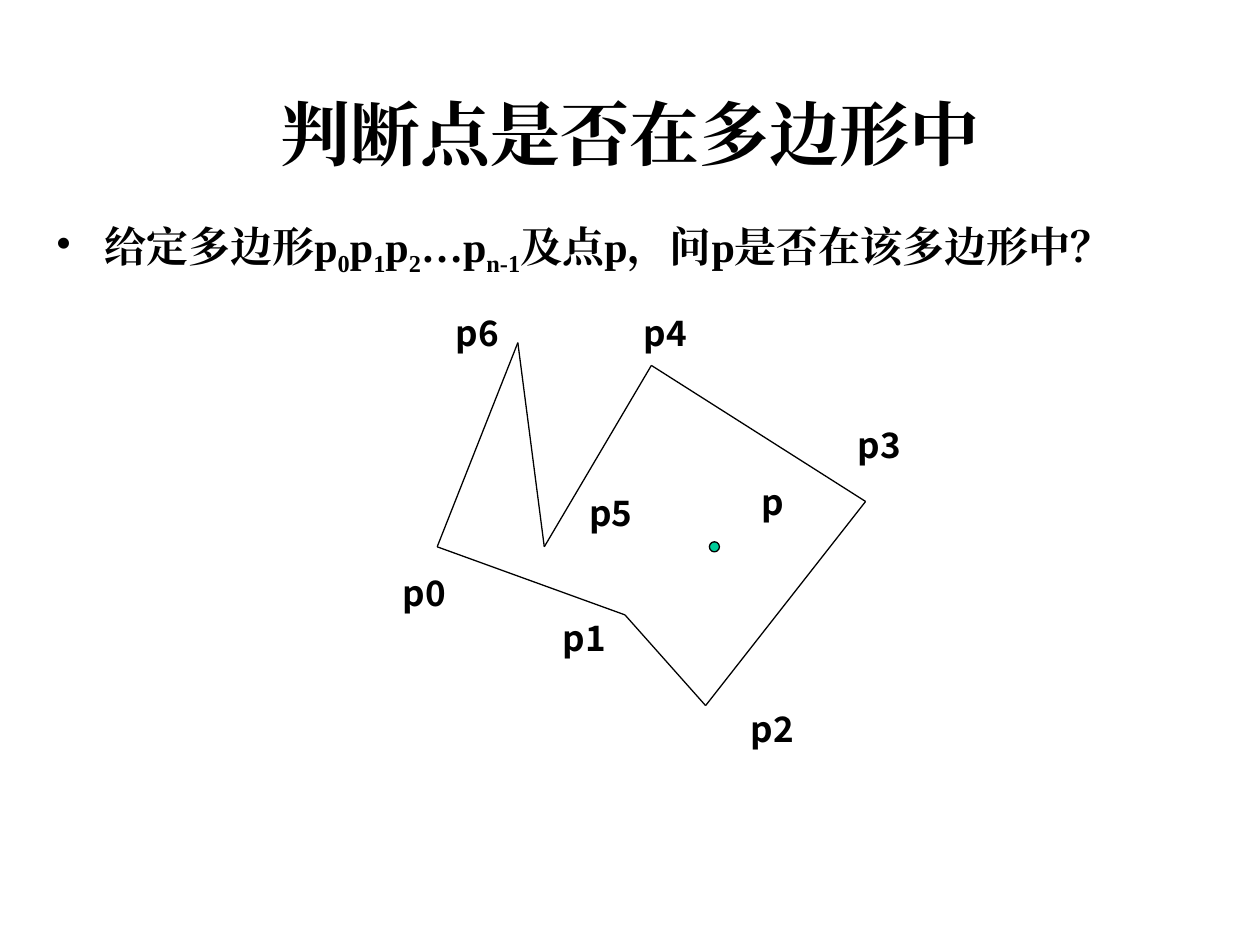
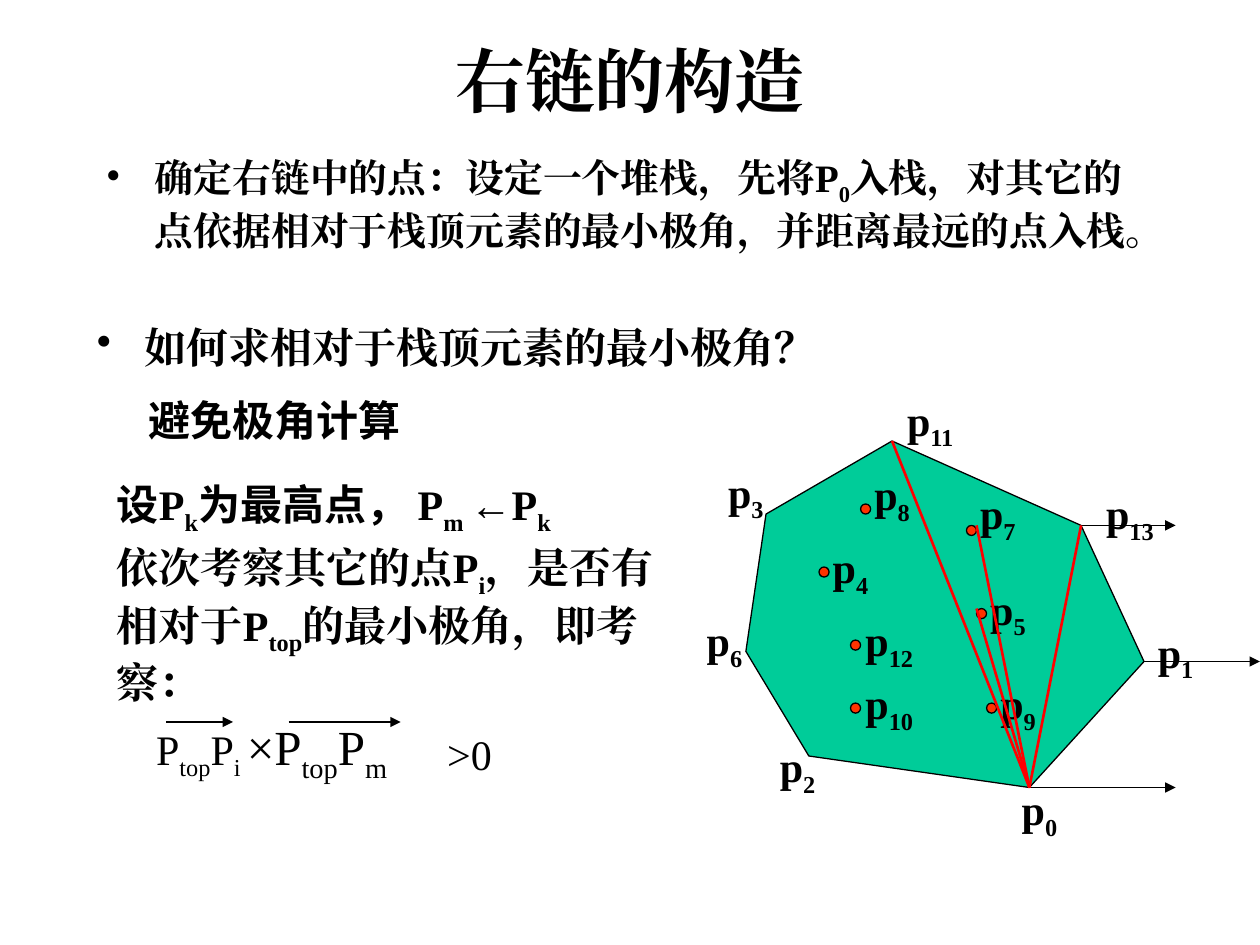
from pptx import Presentation
from pptx.dml.color import RGBColor
from pptx.enum.shapes import MSO_CONNECTOR, MSO_SHAPE
from pptx.enum.text import MSO_ANCHOR, PP_ALIGN
from pptx.oxml.ns import qn
from pptx.util import Inches, Pt
from lxml import etree

BLACK = RGBColor(0x00, 0x00, 0x00)
GREEN = RGBColor(0x00, 0xCC, 0x99)
ORANGE = RGBColor(0xFF, 0x33, 0x00)
RED = RGBColor(0xFF, 0x00, 0x00)
SERIF, SANS = "Times New Roman", "Noto Sans CJK SC"
LINE = MSO_CONNECTOR.STRAIGHT
OVAL, NODE = MSO_SHAPE.OVAL, MSO_SHAPE.FLOWCHART_CONNECTOR
TOP, MIDDLE = MSO_ANCHOR.TOP, MSO_ANCHOR.MIDDLE
CENTER = PP_ALIGN.CENTER
DOT = 0.08


def write(para, text, font=SERIF, size=24, bold=True):
    """Add runs to a paragraph; parts between bars are subscripts."""
    look = {"name": font, "size": Pt(size), "bold": bold}
    for i, part in enumerate(text.split("|")):
        if not part:
            continue
        run = para.add_run()
        run.text = part
        for key, value in look.items():
            setattr(run.font, key, value)
        run.font.color.rgb = BLACK
        props = run.font._element
        etree.SubElement(props, qn("a:ea")).set("typeface", font)
        if i % 2:
            props.set("baseline", "-25000")


def add_box(slide, box, wrap=True, before=0):
    """Add an empty text box and return its first paragraph."""
    frame = slide.shapes.add_textbox(*map(Inches, box)).text_frame
    frame.word_wrap = wrap
    para = frame.paragraphs[0]
    para.space_before = Pt(before)
    return para


def indent(para, depth, bullet=False):
    props = para._p.get_or_add_pPr()
    props.set("marL", str(Inches(depth)))
    props.set("indent", str(-Inches(depth)))
    if bullet:
        etree.SubElement(props, qn("a:buChar")).set("char", "•")


def add_bullet(slide, box, text, size=24):
    para = add_box(slide, box, before=6)
    indent(para, 0.38, bullet=True)
    write(para, text, size=size)


def add_title(slide, text, top, height):
    title = slide.shapes.title
    spot = {"left": 0.75, "top": top, "width": 8.5, "height": height}
    for key, value in spot.items():
        setattr(title, key, Inches(value))
    frame = title.text_frame
    frame.vertical_anchor = TOP
    para = frame.paragraphs[0]
    para.alignment = CENTER
    write(para, text, size=40)


def add_line(slide, start, end, color=BLACK, width=0.75, arrow=False):
    line = slide.shapes.add_connector(LINE, *map(Inches, (*start, *end)))
    line.line.color.rgb = color
    line.line.width = Pt(width)
    if arrow:
        etree.SubElement(line.line._get_or_add_ln(), qn("a:tailEnd")).set("type", "triangle")
    etree.SubElement(line._element.spPr, qn("a:effectLst"))


def paint(shape, color):
    shape.shadow.inherit = False
    shape.fill.solid()
    shape.fill.fore_color.rgb = color
    shape.line.color.rgb = BLACK
    shape.line.width = Pt(0.75)


def add_dot(slide, kind, spot, color):
    box = (*spot, DOT, DOT)
    paint(slide.shapes.add_shape(kind, *map(Inches, box)), color)


def mover(left, top):
    """Return a function that shifts a point into the region's place."""
    return lambda point: (left + point[0], top + point[1])


def draw_polygon(slide, left, top):
    at = mover(left, top)
    corners = [(0.42, 1.79), (1.91, 2.33), (2.55, 3.05), (3.82, 1.43),
               (2.12, 0.35), (1.27, 1.79), (1.06, 0.17)]
    for start, end in zip(corners, corners[1:] + corners[:1]):
        add_line(slide, at(start), at(end))

    names = {"p0": (0.32, 2.15), "p1": (1.59, 2.51), "p2": (3.08, 3.23),
             "p3": (3.93, 0.98), "p4": (2.23, 0.09), "p5": (1.8, 1.52),
             "p6": (0.74, 0.09), "p": (3.08, 1.43)}
    wide, high = 0.64, 0.36
    for name, center in names.items():
        x, y = at(center)
        para = add_box(slide, (x - wide / 2, y - high / 2, wide, high))
        para.alignment = CENTER
        frame = para._parent
        frame.vertical_anchor = MIDDLE
        frame.margin_left = frame.margin_right = Inches(0.02)
        frame.margin_top = frame.margin_bottom = 0
        write(para, name, SANS, 20)
    add_dot(slide, OVAL, at((2.58, 1.75)), GREEN)


def draw_hull(slide, left, top):
    at = mover(left, top)
    hull = {11: (1.16, 0), 3: (0.16, 0.58), 6: (0, 1.67), 2: (0.5, 2.5),
            0: (2.25, 2.75), 1: (3.16, 1.75), 13: (2.66, 0.67)}
    first, *rest = [tuple(map(Inches, at(p))) for p in hull.values()]
    path = slide.shapes.build_freeform(*first)
    path.add_line_segments(rest, close=True)
    paint(path.convert_to_shape(), GREEN)

    names = {3: (-0.24, 0.15), 8: (0.92, 0.17), 6: (-0.41, 1.33),
             2: (0.17, 2.33), 0: (2.09, 2.67), 4: (0.59, 0.75),
             13: (2.76, 0.32), 1: (3.17, 1.42), 11: (1.18, -0.42),
             5: (1.84, 1.08), 12: (0.85, 1.33), 9: (1.92, 1.83),
             10: (0.85, 1.83), 7: (1.76, 0.32)}
    for num, spot in names.items():
        wide = 0.58 if num > 9 else 0.48
        write(add_box(slide, (*at(spot), wide, 0.56), wrap=False), f"p|{num}|")

    dots = [(0.83, 1.58), (0.83, 2.08), (1.91, 2.08), (0.58, 1),
            (1.83, 1.33), (0.91, 0.5), (1.75, 0.67)]
    for spot in dots:
        add_dot(slide, NODE, at(spot), ORANGE)

    for num, length in {0: 1.16, 1: 0.92, 13: 0.75}.items():
        x, y = hull[num]
        add_line(slide, at((x, y)), at((x + length, y)), arrow=True)
    for start in (hull[11], (1.83, 1.33), (1.83, 0.67), hull[13]):
        add_line(slide, at(start), at(hull[0]), RED, 1.5)


def draw_test(slide, left, top):
    """Write the cross product test with its vector arrows."""
    at = mover(left, top)
    para = add_box(slide, (*at((0, 0)), 2.48, 0.63), before=17.5)
    write(para, "P|top|P|i |", bold=False)
    write(para, "×P|top|P|m|", size=28, bold=False)
    for start, end in ((0.18, 0.71), (1.15, 2.04)):
        add_line(slide, at((start, 0.09)), at((end, 0.09)), arrow=True)
    para = add_box(slide, (*at((2.31, 0.09)), 0.89, 0.5), before=15)
    write(para, ">0", bold=False)


def draw_steps(slide, left, top):
    at = mover(left, top)
    para = add_box(slide, (*at((0.25, 0)), 4.5, 0.5), before=6)
    indent(para, 0.5)
    write(para, "避免极角计算", SANS)
    para = add_box(slide, (*at((0, 0.67)), 4.25, 0.56), before=15)
    for text, font in (("设", SANS), ("P|k|", SERIF),
                       ("为最高点， ", SANS), ("P|m |←P|k|", SERIF)):
        write(para, text, font)
    para = add_box(slide, (*at((0, 1.17)), 4.58, 1.41), before=15)
    write(para, "依次考察其它的点P|i|，是否有相对于P|top|的最小极角，即考察：")


def point_slide(slide):
    add_title(slide, "判断点是否在多边形中", 0.67, 1.25)
    add_bullet(slide, (0.35, 1.7, 8.89, 4.83),
               "给定多边形p|0|p|1|p|2|…p|n-1|及点p，问p是否在该多边形中？")
    draw_polygon(slide, 3.05, 2.55)


def chain_slide(slide):
    add_title(slide, "右链的构造", 0.25, 0.75)
    add_bullet(slide, (0.75, 1.17, 8.5, 1.33),
               "确定右链中的点：设定一个堆栈，先将P|0|入栈，对其它的点"
               "依据相对于栈顶元素的最小极角，并距离最远的点入栈。", 22.2)
    add_bullet(slide, (0.67, 2.5, 8.83, 0.5), "如何求相对于栈顶元素的最小极角？")
    draw_hull(slide, 5.92, 3.5)
    draw_steps(slide, 0.83, 3.08)
    draw_test(slide, 1.14, 5.64)


def main():
    deck = Presentation()
    deck.slide_width, deck.slide_height = Inches(10), Inches(7.5)
    for build in (point_slide, chain_slide):
        build(deck.slides.add_slide(deck.slide_layouts[5]))
    deck.save("out.pptx")


if __name__ == "__main__":
    main()
